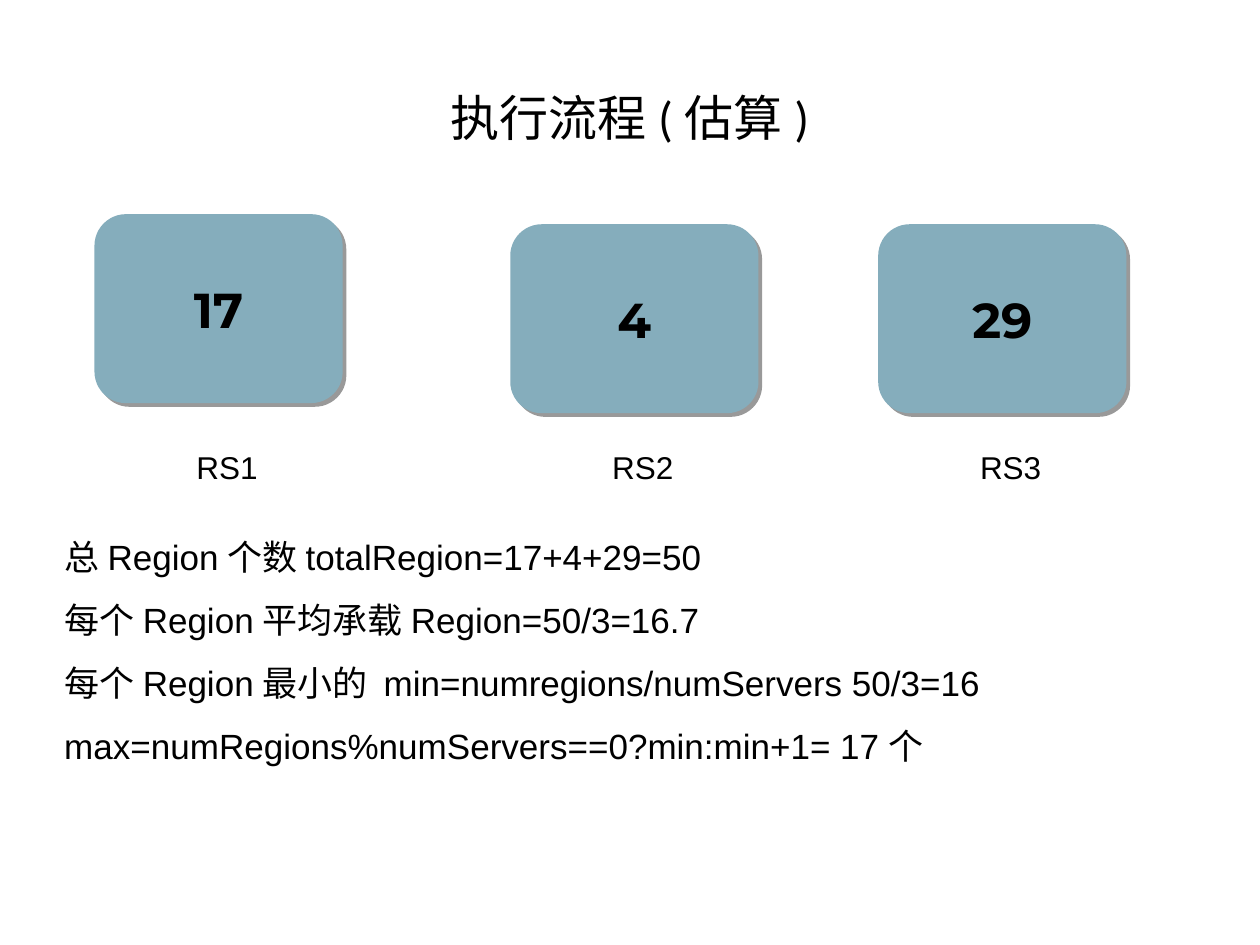
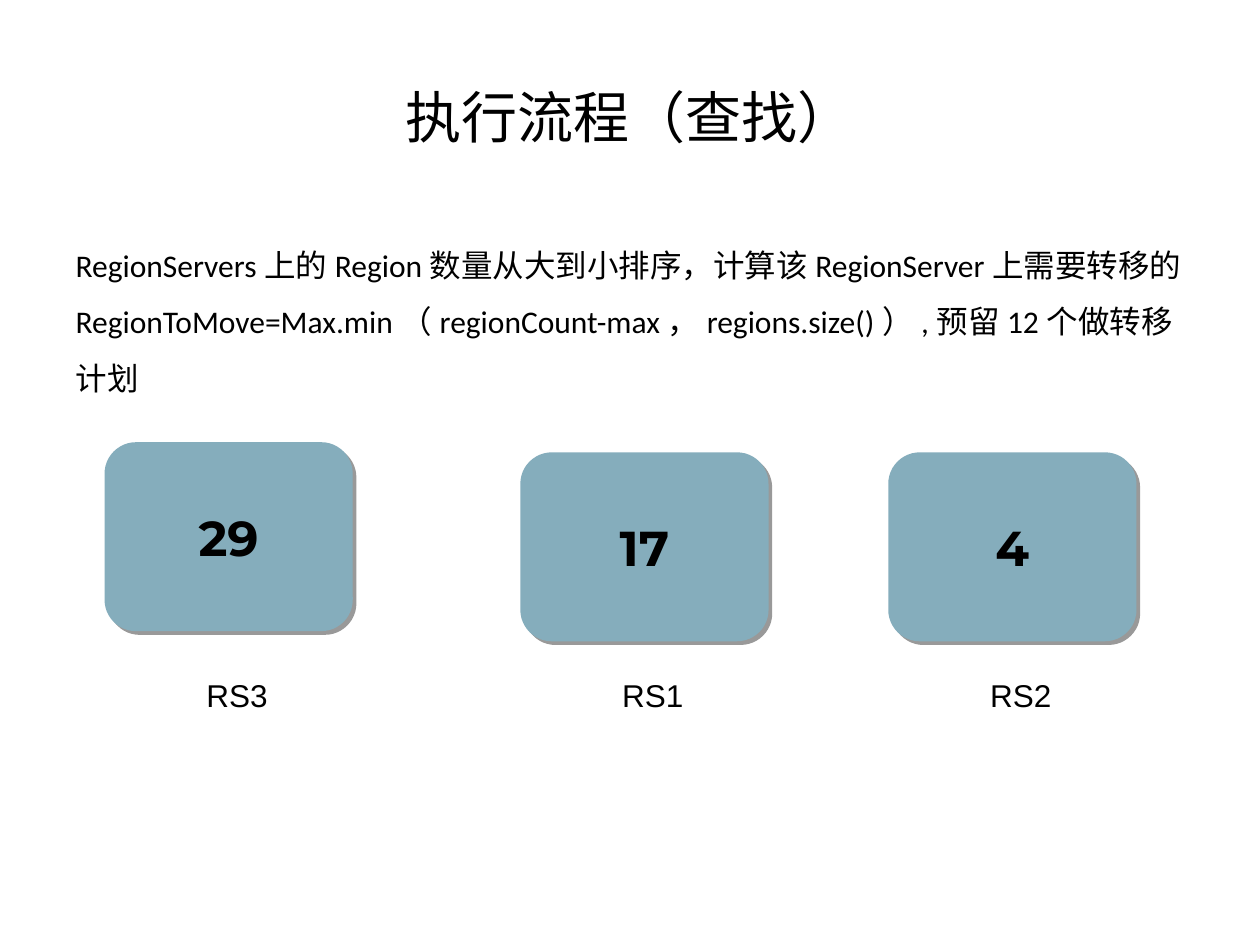
from dataclasses import dataclass

from lxml import etree
from pptx import Presentation
from pptx.dml.color import RGBColor
from pptx.enum.shapes import MSO_SHAPE
from pptx.enum.text import MSO_ANCHOR, MSO_AUTO_SIZE, PP_ALIGN
from pptx.oxml.ns import qn
from pptx.util import Inches, Pt

ROUND = MSO_SHAPE.ROUNDED_RECTANGLE
MIDDLE, TOP = MSO_ANCHOR.MIDDLE, MSO_ANCHOR.TOP
LEFT, CENTER = PP_ALIGN.LEFT, PP_ALIGN.CENTER
FIXED = MSO_AUTO_SIZE.NONE

COLORS = {"text": "000000", "box": "85ADBC", "shade": "000000"}
STEPS = ((0, 0), (3.3, 0.08), (6.22, 0.08))
BOX_W, BOX_H = 1.97, 1.5
TAG_X, TAG_Y, TAG_W, TAG_H = 0.71, 1.81, 1.63, 0.4


@dataclass
class Server:
    name: str
    count: int


@dataclass
class Page:
    title: str
    title_size: int
    lines: list[str]
    font: str
    size: int
    area: tuple[float, float, float, float]
    origin: tuple[float, float]
    servers: list[Server]


PAGES = [
    Page(
        "执行流程(估算)", 28,
        [
            "总Region个数totalRegion=17+4+29=50",
            "每个Region平均承载Region=50/3=16.7",
            "每个Region最小的 min=numregions/numServers 50/3=16",
            "max=numRegions%numServers==0?min:min+1= 17个",
        ],
        "Arial", 20, (0.41, 4.03, 8.6, 2.7), (0.75, 1.7),
        [Server("RS1", 17), Server("RS2", 4), Server("RS3", 29)],
    ),
    Page(
        "执行流程（查找）", 32,
        [
            "RegionServers上的Region数量从大到小排序，计算该RegionServer上需要转移的",
            "RegionToMove=Max.min（regionCount-max，regions.size()）,预留12个做转移计划",
        ],
        "Calibri", 18, (0.5, 1.75, 9, 4.95), (0.83, 3.51),
        [Server("RS3", 29), Server("RS1", 17), Server("RS2", 4)],
    ),
]


def write(shape, lines: list[str], *, font: str, size: int, bold: bool = False,
          align=LEFT, anchor=TOP, space: float = 1) -> None:
    frame = shape.text_frame
    frame.text = "\n".join(lines)
    frame.word_wrap = True
    frame.auto_size = FIXED
    frame.vertical_anchor = anchor
    for para in frame.paragraphs:
        para.alignment = align
        para.line_spacing = space
        para.space_before = Pt(0)
        for run in para.runs:
            run.font.name = font
            run.font.size = Pt(size)
            run.font.bold = bold
            run.font.color.rgb = RGBColor.from_string(COLORS["text"])


def place(shape, left: float, top: float, width: float, height: float) -> None:
    shape.left, shape.top = Inches(left), Inches(top)
    shape.width, shape.height = Inches(width), Inches(height)


def plain(shape) -> None:
    for para in shape.text_frame.paragraphs:
        props = para._p.get_or_add_pPr()
        props.set("marL", "0")
        props.set("indent", "0")
        etree.SubElement(props, qn("a:buNone"))


def shade(shape) -> None:
    shape.shadow.inherit = False
    effects = shape._element.spPr.find(qn("a:effectLst"))
    outer = etree.SubElement(effects, qn("a:outerShdw"), blurRad="0",
                             dist=str(Pt(3)), dir="2700000", rotWithShape="0")
    color = etree.SubElement(outer, qn("a:srgbClr"), val=COLORS["shade"])
    etree.SubElement(color, qn("a:alpha"), val="40000")


def draw_server(slide, server: Server, left: float, top: float) -> None:
    box = slide.shapes.add_shape(ROUND, Inches(left), Inches(top),
                                 Inches(BOX_W), Inches(BOX_H))
    box.fill.solid()
    box.fill.fore_color.rgb = RGBColor.from_string(COLORS["box"])
    box.line.fill.background()
    shade(box)
    write(box, [str(server.count)], font="Montserrat", size=28, bold=True,
          align=CENTER, anchor=MIDDLE)


def draw_tag(slide, server: Server, left: float, top: float) -> None:
    tag = slide.shapes.add_textbox(Inches(left), Inches(top),
                                   Inches(TAG_W), Inches(TAG_H))
    write(tag, [server.name], font="Arial", size=18)


def draw_page(deck, page: Page) -> None:
    slide = deck.slides.add_slide(deck.slide_layouts[1])
    title, body = slide.shapes.title, slide.placeholders[1]
    place(title, 0.5, 0.3, 9, 1.25)
    write(title, [page.title], font="Calibri", size=page.title_size,
          align=CENTER, anchor=MIDDLE)
    place(body, *page.area)
    write(body, page.lines, font=page.font, size=page.size, space=1.5)
    plain(body)
    left, top = page.origin
    for server, (dx, dy) in zip(page.servers, STEPS):
        draw_server(slide, server, left + dx, top + dy)
        draw_tag(slide, server, left + dx + TAG_X, top + TAG_Y)


def main() -> None:
    deck = Presentation()
    deck.slide_width, deck.slide_height = Inches(10), Inches(7.5)
    for page in PAGES:
        draw_page(deck, page)
    deck.save("out.pptx")


if __name__ == "__main__":
    main()
